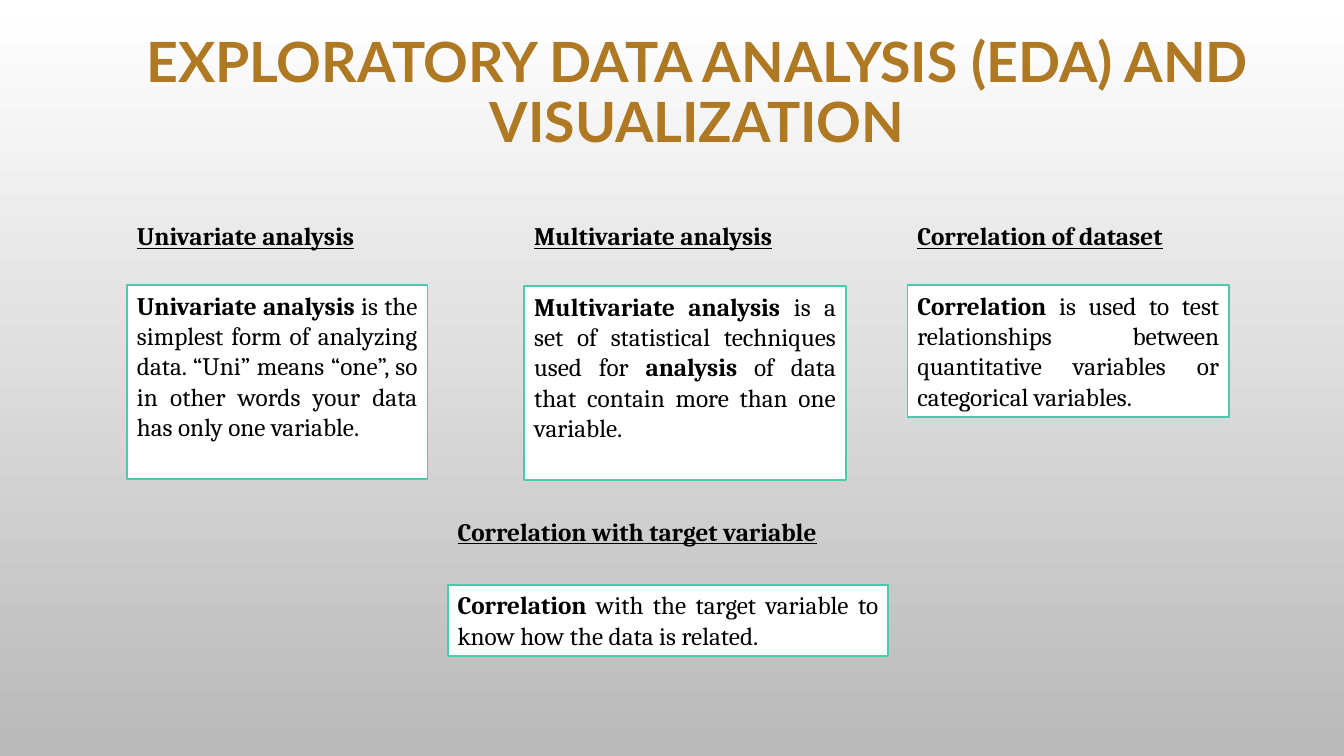
from pptx import Presentation
from pptx import util as u
from pptx.dml.color import RGBColor
from pptx.enum import shapes, text

COLORS = {"gold": "AF7823", "teal": "4BCAAD", "white": "FFFFFF",
          "gray": "B9B9B9", "black": "000000"}


def rgb(name):
    return RGBColor.from_string(COLORS[name])


def add_spans(frame, spans, underline=False):
    """Fill a frame with one justified paragraph of (text, bold) runs."""
    frame.word_wrap = True
    frame.auto_size = text.MSO_AUTO_SIZE.NONE
    frame.vertical_anchor = text.MSO_ANCHOR.TOP
    para = frame.paragraphs[0]
    para.alignment = text.PP_ALIGN.JUSTIFY
    for words, bold in spans:
        span = para.add_run()
        span.text = words
        span.font.name = "Cambria"
        span.font.size = u.Pt(18)
        span.font.bold = bold
        span.font.underline = underline
        span.font.color.rgb = rgb("black")


deck = Presentation()
deck.slide_width, deck.slide_height = u.Inches(13.33), u.Inches(7.5)
page = deck.slides.add_slide(deck.slide_layouts[5])

# Background: white at the top, gray at the bottom
backdrop = page.background.fill
backdrop.gradient()
backdrop.gradient_angle = 270
for stop, color in zip(backdrop.gradient_stops, ("white", "gray")):
    stop.color.rgb = rgb(color)

# Title
title = page.shapes.title
title.left, title.top = u.Inches(0.7), u.Inches(0.39)
title.width, title.height = u.Inches(12.43), u.Inches(1.1)
title.text_frame.word_wrap = True
title.text_frame.auto_size = text.MSO_AUTO_SIZE.NONE
title.text_frame.vertical_anchor = text.MSO_ANCHOR.MIDDLE
para = title.text_frame.paragraphs[0]
para.alignment = text.PP_ALIGN.CENTER
para.line_spacing = 0.9
span = para.add_run()
span.text = "EXPLORATORY DATA ANALYSIS (EDA) AND VISUALIZATION"
span.font.name = "Lato"
span.font.size = u.Pt(39.6)
span.font.bold = True
span.font.color.rgb = rgb("gold")

# Topics: heading, left, heading top, heading width, box top, width, height, spans
topics = [
    ("Univariate analysis", 1.26, 2.14, 2.98, 2.83, 2.98, 1.92, [
        ("Univariate analysis", True),
        (" is the simplest form of analyzing data. “Uni” means “one”, "
         "so in other words your data has only one variable.", False)]),
    ("Multivariate analysis", 5.2, 2.14, 3.19, 2.84, 3.19, 1.92, [
        ("Multivariate analysis", True),
        (" is a set of statistical techniques used for ", False),
        ("analysis", True),
        (" of data that contain more than one variable. ", False)]),
    ("Correlation of dataset", 9, 2.14, 3.44, 2.83, 3.19, 1.31, [
        ("Correlation", True),
        (" is used to test relationships between quantitative variables "
         "or categorical variables.", False)]),
    ("Correlation with target variable", 4.44, 5.07, 4.7, 5.8, 4.37, 0.71, [
        ("Correlation", True),
        (" with the target variable to know how the data is related.", False)]),
]

for heading, left, head_top, head_width, top, width, height, spans in topics:
    # Underlined heading
    label = page.shapes.add_textbox(u.Inches(left), u.Inches(head_top),
                                    u.Inches(head_width), u.Inches(0.4))
    add_spans(label.text_frame, [(heading, True)], underline=True)

    # Framed definition
    box = page.shapes.add_shape(shapes.MSO_SHAPE.RECTANGLE, u.Inches(left),
                                u.Inches(top), u.Inches(width), u.Inches(height))
    box.shadow.inherit = False
    box.fill.solid()
    box.fill.fore_color.rgb = rgb("white")
    box.line.color.rgb = rgb("teal")
    box.line.width = u.Pt(1.25)
    add_spans(box.text_frame, spans)

deck.save("out.pptx")
